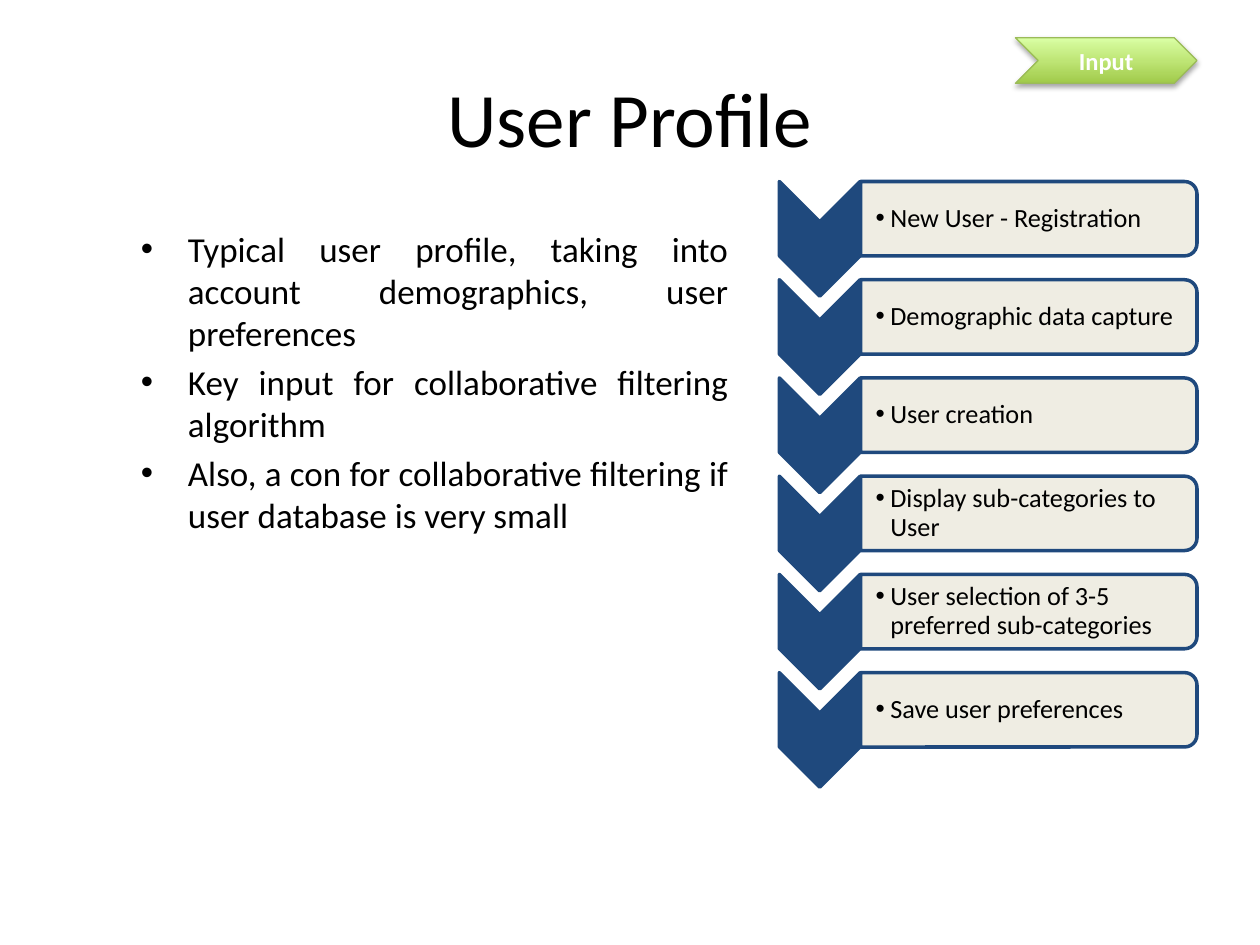
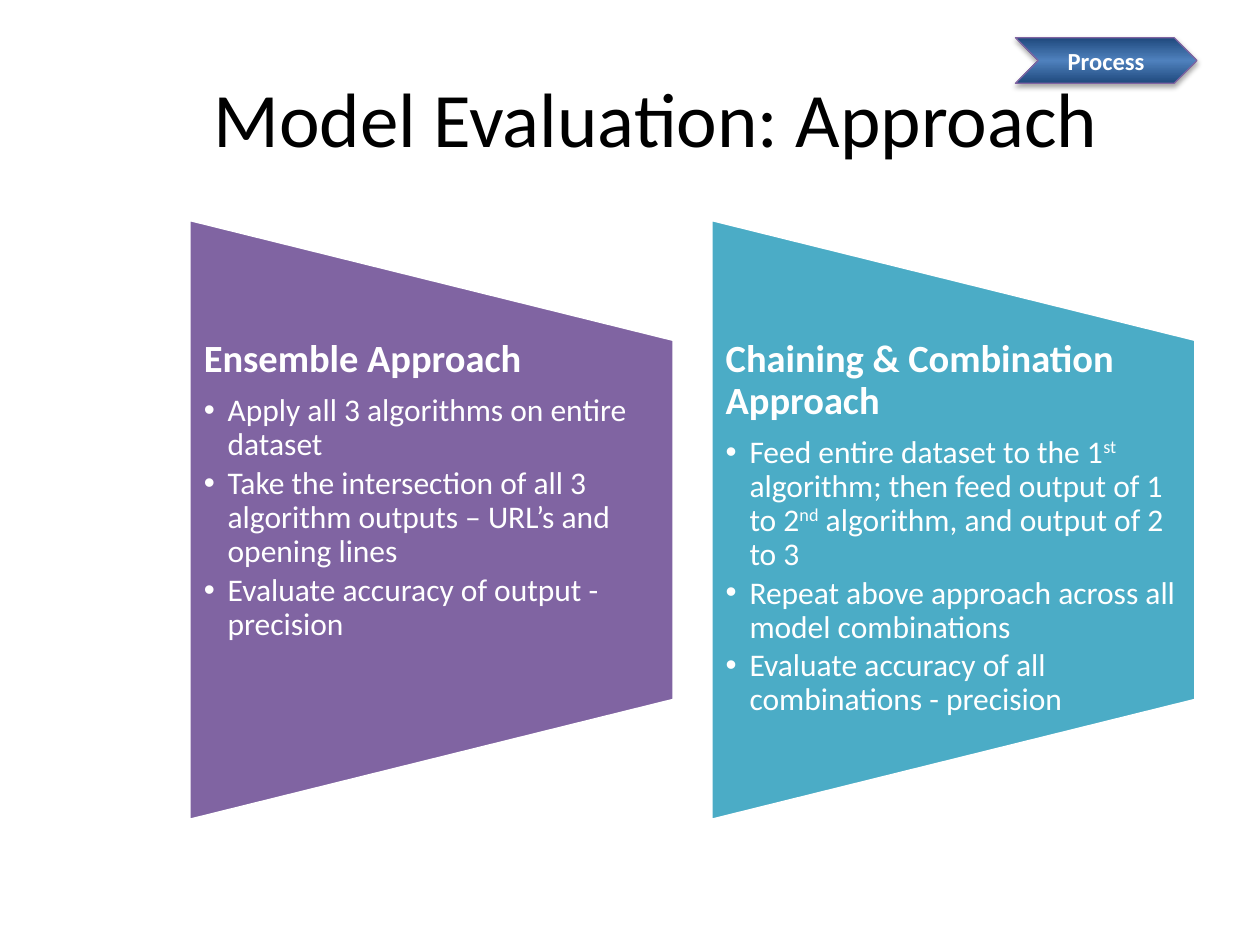
from dataclasses import dataclass

from lxml import etree
from pptx import Presentation
from pptx.dml.color import RGBColor
from pptx.enum.shapes import MSO_SHAPE
from pptx.enum.text import MSO_ANCHOR, PP_ALIGN
from pptx.oxml.ns import qn
from pptx.util import Cm, Pt

CHEVRON = MSO_SHAPE.CHEVRON
CARD = MSO_SHAPE.ROUND_2_SAME_RECTANGLE
PANEL = MSO_SHAPE.FLOWCHART_MANUAL_OPERATION
TOP, MIDDLE = MSO_ANCHOR.TOP, MSO_ANCHOR.MIDDLE
LEFT, CENTER, JUSTIFY = PP_ALIGN.LEFT, PP_ALIGN.CENTER, PP_ALIGN.JUSTIFY


@dataclass(frozen=True)
class Theme:
    """Colours, font and type sizes shared by the slides."""
    font: str = "Calibri"
    text: str = "000000"
    white: str = "FFFFFF"
    navy: str = "1F497D"
    cream: str = "EEECE1"
    purple: str = "8064A2"
    teal: str = "4BACC6"
    green: str = "9BBB59"
    input_stops: tuple = ((0, "A0CA4A"), (50, "BEE575"), (100, "DAFFA5"))
    process_stops: tuple = ((0, "1F497D"), (50, "4F81BD"), (100, "1F497D"))
    title: int = 44
    heading: int = 22
    body: int = 20
    point: int = 18
    step: int = 15
    tag: int = 14


THEME = Theme()

PROFILE_POINTS = (
    "Typical user profile, taking into account demographics, user preferences",
    "Key input for collaborative filtering algorithm",
    "Also, a con for collaborative filtering if user database is very small",
)
STEPS = (
    "New User - Registration",
    "Demographic data capture",
    "User creation",
    "Display sub-categories to User",
    "User selection of 3-5 preferred sub-categories",
    "Save user preferences",
)
APPROACHES = (
    ("Ensemble Approach", THEME.purple, (
        "Apply all 3 algorithms on entire dataset",
        "Take the intersection of all 3 algorithm outputs – URL’s and opening lines",
        "Evaluate accuracy of output - precision",
    )),
    ("Chaining & Combination Approach", THEME.teal, (
        "Feed entire dataset to the 1^st^ algorithm; then feed output of 1 "
        "to 2^nd^ algorithm, and output of 2 to 3",
        "Repeat above approach across all model combinations",
        "Evaluate accuracy of all combinations - precision",
    )),
)


def rgb(color):
    """Return the colour object for a hex string."""
    return RGBColor.from_string(color)


def add_child(parent, tag, **attrs):
    """Append a DrawingML element with the given attributes."""
    child = etree.SubElement(parent, qn(tag))
    for name, value in attrs.items():
        child.set(name, str(value))
    return child


def set_font(p, size, color, bold=False):
    """Set the font of a whole paragraph."""
    p.font.name = THEME.font
    p.font.size = Pt(size)
    p.font.bold = bold
    p.font.color.rgb = rgb(color)


def set_bullet(p, indent):
    """Give a paragraph a round bullet with a hanging indent."""
    pPr = p._p.get_or_add_pPr()
    pPr.set("marL", str(Cm(indent)))
    pPr.set("indent", str(-Cm(indent)))
    add_child(pPr, "a:buFont", typeface="Arial")
    add_child(pPr, "a:buChar", char="•")


def write(p, text, size, color=THEME.text, bold=False, align=LEFT,
          indent=0, spacing=1.0, before=0, after=0):
    """Fill a paragraph, raising the parts between carets."""
    for i, part in enumerate(text.split("^")):
        r = p.add_run()
        r.text = part
        if i % 2:
            r._r.get_or_add_rPr().set("baseline", "30000")
    if indent:
        set_bullet(p, indent)
    p.alignment = align
    p.line_spacing = spacing
    p.space_before = Pt(before)
    p.space_after = Pt(after)
    set_font(p, size, color, bold)


def set_frame(tf, anchor, left, top, right, bottom):
    """Set wrapping, anchor and insets of a text frame."""
    tf.word_wrap = True
    tf.vertical_anchor = anchor
    tf.margin_left, tf.margin_top = Cm(left), Cm(top)
    tf.margin_right, tf.margin_bottom = Cm(right), Cm(bottom)


def add_text(slide, box, anchor, insets):
    """Add a text box and return its frame."""
    tf = slide.shapes.add_textbox(*map(Cm, box)).text_frame
    set_frame(tf, anchor, *insets)
    return tf


def add_paragraph(tf):
    """Return the empty first paragraph or a new one."""
    first = tf.paragraphs[0]
    return tf.add_paragraph() if first.runs else first


def add_turned(slide, kind, box, angle, fill, line):
    """Add a shape turned a quarter that covers the given box."""
    x, y, w, h = box
    shift = (w - h) / 2
    sp = slide.shapes.add_shape(kind, *map(Cm, (x + shift, y - shift, h, w)))
    sp.rotation = angle
    sp.shadow.inherit = False
    sp.fill.solid()
    sp.fill.fore_color.rgb = rgb(fill)
    sp.line.color.rgb = rgb(line)
    sp.line.width = Pt(2)
    return sp


def set_alpha(sp, percent):
    """Make the solid fill of a shape partly transparent."""
    color = sp._element.spPr.find(qn("a:solidFill"))[0]
    add_child(color, "a:alpha", val=percent * 1000)


def set_gradient(sp, stops):
    """Fill a shape with colour stops running upwards."""
    sp.fill.gradient()
    sp.fill.gradient_angle = 90
    gs_list = sp._element.spPr.find(qn("a:gradFill")).find(qn("a:gsLst"))
    for gs in list(gs_list):
        gs_list.remove(gs)
    for position, color in stops:
        gs = add_child(gs_list, "a:gs", pos=position * 1000)
        add_child(gs, "a:srgbClr", val=color)


def set_shadow(sp):
    """Give a shape a soft shadow straight below."""
    sp.shadow.inherit = False
    effects = sp._element.spPr.find(qn("a:effectLst"))
    shadow = add_child(effects, "a:outerShdw", blurRad=Pt(3.1), dist=Pt(1.8),
                       dir=5400000, rotWithShape=0)
    color = add_child(shadow, "a:srgbClr", val="000000")
    add_child(color, "a:alpha", val=35000)


def add_tag(slide, label, stops, line):
    """Add the stage arrow in the top right corner."""
    sp = slide.shapes.add_shape(CHEVRON, Cm(20.47), Cm(0.76), Cm(3.66), Cm(0.92))
    set_gradient(sp, stops)
    sp.line.color.rgb = rgb(line)
    sp.line.width = Pt(0.75)
    set_shadow(sp)
    set_frame(sp.text_frame, MIDDLE, 0, 0, 0, 0)
    write(sp.text_frame.paragraphs[0], label, THEME.tag, THEME.white,
          bold=True, align=CENTER)


def add_slide(prs, title, margin_left=0.25):
    """Add a title-only slide with its title in place."""
    slide = prs.slides.add_slide(prs.slide_layouts[5])
    sp = slide.shapes.title
    sp.left, sp.top, sp.width, sp.height = map(Cm, (1.27, 0.76, 22.86, 3.18))
    set_frame(sp.text_frame, MIDDLE, margin_left, 0.13, 0.25, 0.13)
    write(sp.text_frame.paragraphs[0], title, THEME.title, align=CENTER)
    return slide


def add_step(slide, top, text):
    """Add one downward chevron with its card."""
    add_turned(slide, CHEVRON, (15.71, top, 1.63, 2.31), 90,
               THEME.navy, THEME.navy)
    box = (17.35, top, 6.78, 1.5)
    set_alpha(add_turned(slide, CARD, box, 90, THEME.cream, THEME.navy), 90)
    tf = add_text(slide, box, MIDDLE, (0.3, 0.03, 0.1, 0.03))
    write(tf.paragraphs[0], text, THEME.step, indent=0.3, spacing=0.9, after=2.25)


def add_panel(slide, left, heading, color, points):
    """Add a tapering panel with a heading and bullets."""
    top, width, height = 4.42, 9.78, 12.12
    add_turned(slide, PANEL, (left, top, width, height), 270, color, THEME.white)
    box = (left, top + height / 5, width, height * 3 / 5)
    tf = add_text(slide, box, TOP, (0.3, 0, 0.3, 0))
    write(add_paragraph(tf), heading, THEME.heading, THEME.white, bold=True,
          spacing=0.9, after=7.7)
    for point in points:
        write(add_paragraph(tf), point, THEME.point, THEME.white,
              indent=0.48, spacing=0.9, after=2.7)


def build_profile(prs):
    """Build the user profile slide."""
    slide = add_slide(prs, "User Profile")
    tf = add_text(slide, (2.59, 4.45, 12.34, 12.57), TOP, (0.25, 0.13, 0.25, 0.13))
    for point in PROFILE_POINTS:
        write(add_paragraph(tf), point, THEME.body, align=JUSTIFY,
              indent=0.95, before=4)
    add_tag(slide, "Input", THEME.input_stops, THEME.green)
    for i, step in enumerate(STEPS):
        add_step(slide, 3.66 + 1.98 * i, step)


def build_approach(prs):
    """Build the model evaluation slide."""
    slide = add_slide(prs, "Model Evaluation: Approach", margin_left=1.3)
    add_tag(slide, "Process", THEME.process_stops, THEME.purple)
    for i, approach in enumerate(APPROACHES):
        add_panel(slide, 3.81 + 10.52 * i, *approach)


def main():
    """Build and save the presentation."""
    prs = Presentation()
    prs.slide_width, prs.slide_height = Cm(25.4), Cm(19.05)
    build_profile(prs)
    build_approach(prs)
    prs.save("out.pptx")


if __name__ == "__main__":
    main()
